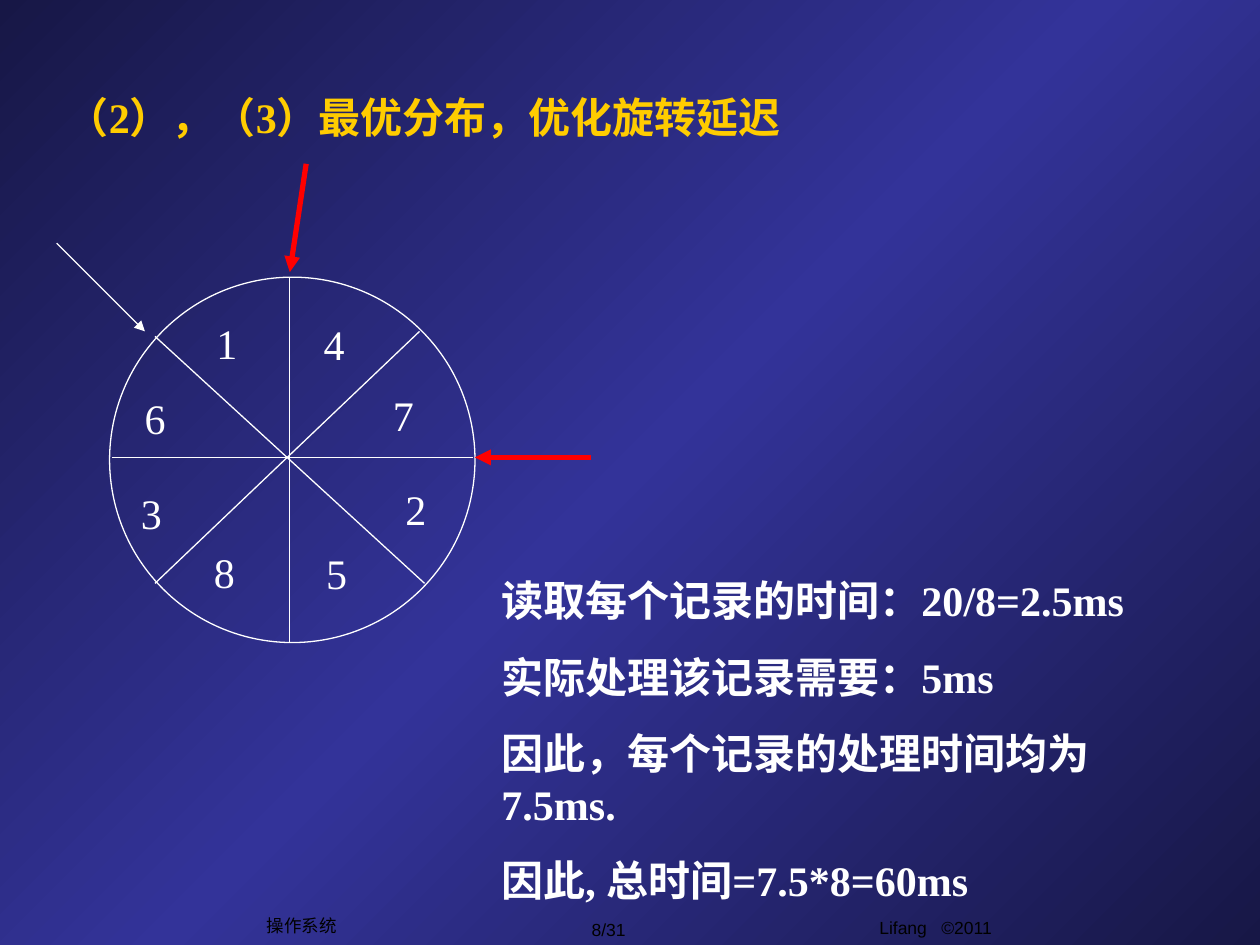
import copy
import dataclasses

import pptx
import pptx.dml.color
import pptx.enum.shapes
import pptx.enum.text
import pptx.oxml
import pptx.oxml.ns
import pptx.util

Inches = pptx.util.Inches
Pt = pptx.util.Pt
RGB = pptx.dml.color.RGBColor.from_string
Anchor = pptx.enum.text.MSO_ANCHOR
Align = pptx.enum.text.PP_ALIGN
qn = pptx.oxml.ns.qn


@dataclasses.dataclass(frozen=True)
class Theme:
    """Colours, fonts and sizes of the slide."""
    edge: str = "171746"
    core: str = "333399"
    gold: str = "FFCC00"
    white: str = "FFFFFF"
    red: str = "FF0000"
    black: str = "000000"
    serif: str = "Times New Roman"
    sans: str = "Arial"
    large: int = 24
    small: int = 10
    thin: float = 0.75
    thick: float = 3


def apply(target, values):
    """Set each attribute named in values."""
    for name, value in values.items():
        setattr(target, name, value)


def node(tag, attrs=""):
    """Make an empty drawing element."""
    return pptx.oxml.parse_xml(f'<a:{tag} {pptx.oxml.ns.nsdecls("a")} {attrs}/>')


class Deck:
    """Holds the theme and the current slide."""

    def __init__(self, theme):
        """Open a deck with one slide."""
        self.theme = theme
        self.show = pptx.Presentation()
        apply(self.show, {"slide_width": Inches(10), "slide_height": Inches(7.5)})
        self.slide = self.show.slides.add_slide(self.show.slide_layouts[1])

    def ground(self):
        """Paint the diagonal gradient."""
        fill = self.slide.background.fill
        fill.gradient()
        fill.gradient_angle = 315
        stops = self.slide._element.find(".//" + qn("a:gsLst"))
        stops.append(copy.deepcopy(stops[-1]))
        shades = (self.theme.edge, self.theme.core, self.theme.edge)
        for stop, spot, shade in zip(fill.gradient_stops, (0, 0.5, 1), shades):
            stop.position = spot
            stop.color.rgb = RGB(shade)

    def text(self, shape, box, lines, size, font, color, bold=False,
             align=Align.LEFT, anchor=Anchor.TOP, wrap=True, gap=0):
        """Place a text shape and fill it with lines."""
        apply(shape, dict(zip(("left", "top", "width", "height"), map(Inches, box))))
        frame = shape.text_frame
        frame.text = "\n".join(lines)
        apply(frame, {"word_wrap": wrap, "vertical_anchor": anchor,
                      "auto_size": pptx.enum.text.MSO_AUTO_SIZE.NONE})
        for place, para in enumerate(frame.paragraphs):
            apply(para, {"alignment": align, "space_before": Pt(gap if place else 0)})
            props = para._p.get_or_add_pPr()
            for key in ("marL", "indent"):
                props.set(key, "0")
            props.append(node("buNone"))
            for run in para.runs:
                apply(run.font, {"size": Pt(size), "name": font, "bold": bold})
                run.font.color.rgb = RGB(color)

    def title(self, text, box):
        """Fill the title."""
        self.text(self.slide.shapes.title, box, [text], self.theme.large,
                  self.theme.serif, self.theme.gold, bold=True, anchor=Anchor.MIDDLE)

    def body(self, lines, box):
        """Fill the body."""
        self.text(self.slide.placeholders[1], box, lines, self.theme.large,
                  self.theme.serif, self.theme.white, bold=True, gap=15)

    def label(self, text, box):
        """Add a sector number."""
        shape = self.slide.shapes.add_textbox(0, 0, 0, 0)
        self.text(shape, box, [text], self.theme.large,
                  self.theme.serif, self.theme.white)

    def foot(self, text, box, anchor=Anchor.MIDDLE, wrap=False):
        """Add a footer text."""
        shape = self.slide.shapes.add_textbox(0, 0, 0, 0)
        self.text(shape, box, [text], self.theme.small, self.theme.sans,
                  self.theme.black, align=Align.CENTER, anchor=anchor, wrap=wrap)

    def ring(self, box):
        """Add the outline of the disk."""
        shape = self.slide.shapes.add_shape(
            pptx.enum.shapes.MSO_SHAPE.OVAL, *map(Inches, box))
        shape.shadow.inherit = False
        shape.fill.background()
        shape.line.color.rgb = RGB(self.theme.white)
        shape.line.width = Pt(self.theme.thin)

    def line(self, ends, color, width, arrow=False):
        """Add a line, with an arrowhead if asked."""
        link = self.slide.shapes.add_connector(
            pptx.enum.shapes.MSO_CONNECTOR.STRAIGHT, *map(Inches, ends))
        link.line.color.rgb = RGB(color)
        link.line.width = Pt(width)
        props = link._element.spPr
        if arrow:
            props.find(qn("a:ln")).append(node("tailEnd", 'type="triangle"'))
        props.append(node("effectLst"))


def main():
    """Build and save the slide."""
    theme = Theme()
    deck = Deck(theme)
    deck.ground()
    deck.title("（2），（3）最优分布，优化旋转延迟", (0.43, 0.68, 8.54, 0.5))
    deck.body(["读取每个记录的时间：20/8=2.5ms", "实际处理该记录需要：5ms",
               "因此，每个记录的处理时间均为7.5ms.", "因此, 总时间=7.5*8=60ms"],
              (3.88, 4.51, 5.73, 2.77))

    deck.ring((0.87, 2.2, 2.9, 2.9))
    for ends in ((2.3, 2.2, 2.3, 5.1), (0.89, 3.63, 3.75, 3.63),
                 (1.23, 4.63, 3.33, 2.63), (1.23, 2.67, 3.37, 4.63)):
        deck.line(ends, theme.white, theme.thin)
    for text, left, top in (("1", 1.62, 2.47), ("6", 1.05, 3.07), ("3", 1.02, 3.82),
                            ("8", 1.6, 4.29), ("5", 2.49, 4.3), ("2", 3.12, 3.79),
                            ("7", 3.02, 3.04), ("4", 2.47, 2.48)):
        deck.label(text, (left, top, 0.67, 0.5))

    deck.line((0.45, 1.93, 1.15, 2.63), theme.white, theme.thin, arrow=True)
    for ends in ((2.43, 1.3, 2.3, 2.16), (4.69, 3.63, 3.77, 3.63)):
        deck.line(ends, theme.red, theme.thick, arrow=True)

    deck.foot("Lifang   ©2011", (5.84, 7.23, 3.17, 0.35), Anchor.TOP, True)
    deck.foot("8/31", (4.32, 7.24, 1.02, 0.27))
    deck.foot("操作系统", (2.02, 7.21, 0.75, 0.27))
    deck.show.save("out.pptx")


if __name__ == "__main__":
    main()
